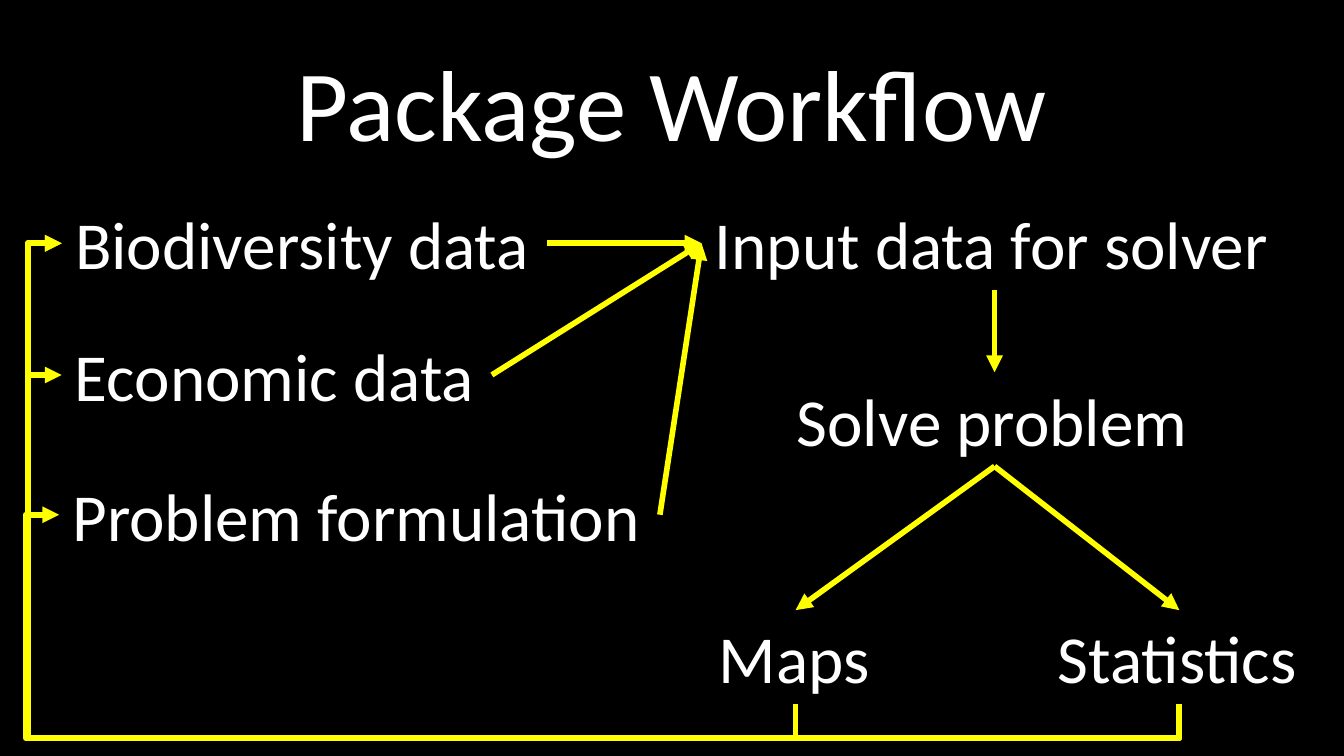
"""Build the package workflow slide."""
from lxml.etree import SubElement as Sub
from pptx import Presentation
from pptx.dml.color import RGBColor as Rgb
from pptx.enum.shapes import MSO_CONNECTOR as Kind
from pptx.enum.text import MSO_ANCHOR as Anchor, MSO_AUTO_SIZE as Fit, PP_ALIGN as Align
from pptx.oxml.ns import qn
from pptx.util import Inches, Pt

THEME = {
    "font": "Calibri",
    "back": Rgb(0, 0, 0),
    "text": Rgb(255, 255, 255),
    "line": Rgb(255, 255, 0),
    "title": 54,
    "body": 36,
    "width": 3,
}
WIDE = 10
TALL = WIDE * 9 / 16
TITLE = ("Package Workflow", 2.08, 0.25, 5.84, 1.01)
HIGH = 0.7
GAP = 0.25
NODES = {
    "bio": ("Biodiversity data", 0.46, 1.46, 3.61),
    "econ": ("Economic data", 0.46, 2.44, 3.2),
    "form": ("Problem formulation", 0.44, 3.48, 4.47),
    "input": ("Input data for solver", 5.22, 1.46, 4.36),
    "solve": ("Solve problem", 5.83, 2.77, 3.14),
    "maps": ("Maps", 5.25, 4.54, 1.34),
    "stats": ("Statistics", 7.77, 4.54, 2.01),
}
TOP, LEFT, BOTTOM, RIGHT = range(4)
ARROWS = [
    ("bio", RIGHT, "input", LEFT),
    ("econ", RIGHT, "input", LEFT),
    ("form", RIGHT, "input", LEFT),
    ("input", BOTTOM, "solve", TOP),
    ("solve", BOTTOM, "maps", TOP),
    ("solve", BOTTOM, "stats", TOP),
]
LOOPS = [("stats", "form"), ("maps", "bio"), ("stats", "econ"), ("stats", "bio")]


def write(shape, text, size=THEME["body"], align=Align.LEFT, anchor=Anchor.TOP):
    frame = shape.text_frame
    frame.text = text
    frame.word_wrap = False
    frame.auto_size = Fit.SHAPE_TO_FIT_TEXT
    frame.vertical_anchor = anchor
    para = frame.paragraphs[0]
    para.alignment = align
    font = para.runs[0].font
    font.name, font.size, font.color.rgb = THEME["font"], Pt(size), THEME["text"]


def place(shape, *rect):
    shape.left, shape.top, shape.width, shape.height = map(Inches, rect)


def style(link):
    link.line.color.rgb = THEME["line"]
    link.line.width = Pt(THEME["width"])
    props = link._element.spPr
    Sub(props.find(qn("a:ln")), qn("a:tailEnd"), type="triangle")
    Sub(props, qn("a:effectLst"))


def join(slide, start, side, end, goal):
    link = slide.shapes.add_connector(Kind.STRAIGHT, 0, 0, 0, 0)
    link.begin_connect(start, side)
    link.end_connect(end, goal)
    style(link)


def loop(slide, start, end):
    _, left, top, width = NODES[start]
    x1, y1 = left + width / 2, top + HIGH
    _, x2, top, _ = NODES[end]
    y2 = top + HIGH / 2
    wide, tall = x1 - x2, y1 - y2
    link = slide.shapes.add_connector(Kind.ELBOW, 0, 0, 0, 0)
    place(link, (x1 + x2 - tall) / 2, (y1 + y2 - wide) / 2, tall, wide)
    props = link._element.spPr
    turn = props.find(qn("a:xfrm"))
    turn.set("rot", "5400000")
    turn.set("flipH", "1")
    geom = props.find(qn("a:prstGeom"))
    geom.set("prst", "bentConnector4")
    guides = geom.find(qn("a:avLst"))
    if guides is None:
        guides = Sub(geom, qn("a:avLst"))
    for name, part in (("adj1", -GAP / tall), ("adj2", 1 + GAP / wide)):
        Sub(guides, qn("a:gd"), name=name, fmla=f"val {round(part * 100000)}")
    style(link)


def main():
    deck = Presentation()
    deck.slide_width, deck.slide_height = Inches(WIDE), Inches(TALL)
    slide = deck.slides.add_slide(deck.slide_layouts[5])
    fill = slide.background.fill
    fill.solid()
    fill.fore_color.rgb = THEME["back"]

    text, *rect = TITLE
    title = slide.shapes.title
    place(title, *rect)
    write(title, text, size=THEME["title"], align=Align.CENTER)

    boxes = {}
    for key, (text, left, top, width) in NODES.items():
        box = slide.shapes.add_textbox(0, 0, 0, 0)
        place(box, left, top, width, HIGH)
        write(box, text)
        boxes[key] = box

    for start, side, end, goal in ARROWS:
        join(slide, boxes[start], side, boxes[end], goal)
    for start, end in LOOPS:
        loop(slide, start, end)
    deck.save("out.pptx")


if __name__ == "__main__":
    main()
